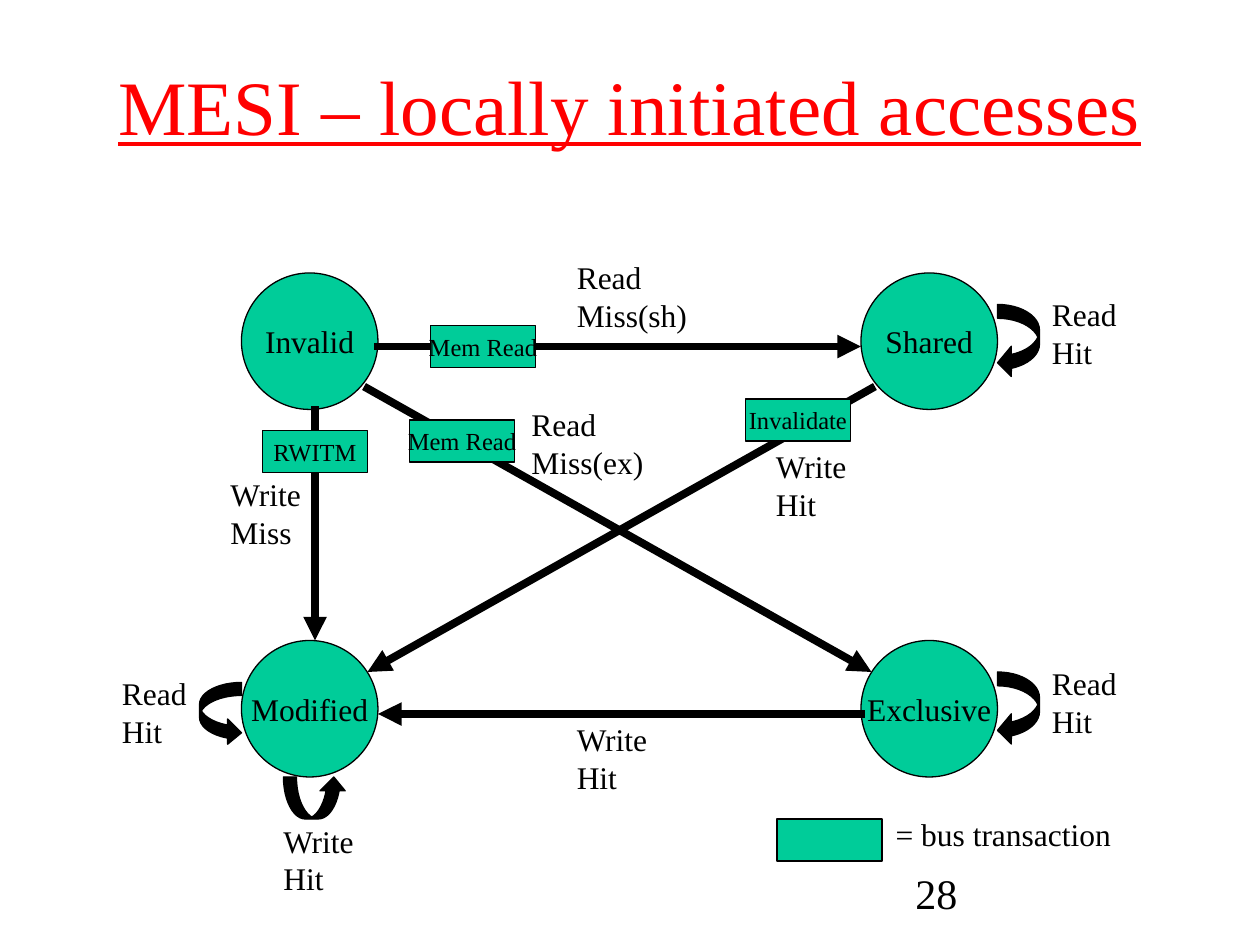
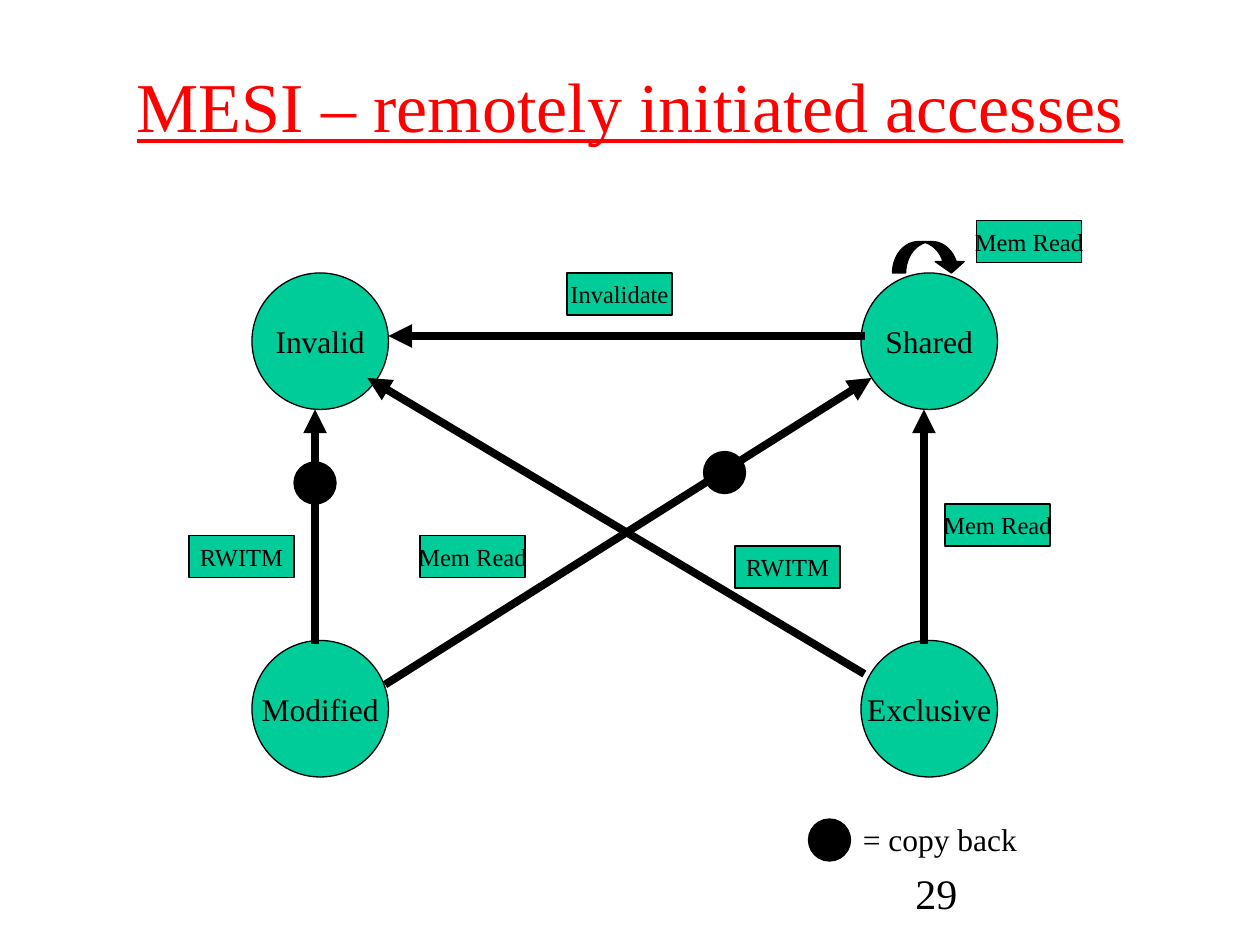
import pptx
import pptx.util
import pptx.dml.color
import pptx.enum.shapes
import pptx.enum.text
import pptx.oxml.ns
from lxml import etree

Pt = pptx.util.Pt
KIND = pptx.enum.shapes.MSO_SHAPE
ALIGN = pptx.enum.text.PP_ALIGN
ANCHOR = pptx.enum.text.MSO_ANCHOR
FIT = pptx.enum.text.MSO_AUTO_SIZE

BLACK, GREEN, RED = "000000", "00CC99", "FF0000"
FACE = "Times New Roman"
TITLE_BOX = (54, 15, 612, 90)
PAGE_BOX = (516, 492, 150, 36)
CHART_BOX = (60, 120, 600, 400)
STATE, TAG, DOT = (78, 78), (60, 24), (24, 24)

LOCAL = {
    "title": ("MESI – locally initiated accesses", 44),
    "page": "28",
    "left": 78,
    "arrows": [
        (156, 78, 432, 78), (120, 114, 120, 246), (432, 288, 156, 288),
        (150, 102, 438, 264), (438, 102, 150, 264),
    ],
    "loops": [
        (KIND.CURVED_LEFT_ARROW, (510, 54, 24, 42), (0.33, 0.72, 0.33)),
        (KIND.CURVED_LEFT_ARROW, (510, 264, 24, 42), (0.33, 0.72, 0.33)),
        (KIND.CURVED_RIGHT_ARROW, (54, 270, 24, 36), (0.31, 0.6, 0.33)),
        (KIND.CURVED_UP_ARROW, (102, 324, 36, 24), (0.31, 0.6, 0.33)),
    ],
    "labels": [
        ("Read\nHit", 534, 45, 60), ("Read\nHit", 534, 256, 60),
        ("Read\nHit", 2.6, 261.6, 60), ("Read\nMiss(sh)", 262.5, 24, 90),
        ("Read\nMiss(ex)", 236.6, 108, 90), ("Write\nHit", 94.8, 346, 60),
        ("Write\nHit", 262.5, 288, 60), ("Write\nHit", 376.3, 132, 60),
        ("Write\nMiss", 64.6, 148, 60), ("= bus transaction", 444.7, 342, 150),
    ],
    "tags": [
        ("RWITM", 90, 126), ("Invalidate", 366, 108), ("Mem Read", 186, 66),
        ("Mem Read", 174, 120), ("", 384, 348),
    ],
    "dots": [],
}

REMOTE = {
    "title": ("MESI – remotely initiated accesses", 40),
    "page": "29",
    "left": 84,
    "arrows": [
        (120, 246, 120, 114), (432, 72, 162, 72), (468, 246, 468, 114),
        (162, 270, 438, 96), (432, 264, 150, 96),
    ],
    "loops": [(KIND.CURVED_DOWN_ARROW, (450, 18, 42, 18), (0.42, 0.92, 0.36))],
    "labels": [("= copy back", 426, 345, 120)],
    "tags": [
        ("Mem Read", 498, 6), ("Mem Read", 480, 168), ("Mem Read", 180, 186),
        ("Invalidate", 264, 36), ("RWITM", 360, 192), ("RWITM", 48, 186),
    ],
    "dots": [(108, 144), (342, 138), (402, 348)],
}


def tint(code):
    return pptx.dml.color.RGBColor.from_string(code)


def points(box):
    return [Pt(v) for v in box]


def style(item, **values):
    for name, value in values.items():
        setattr(item, name, value)


def write(shape, text, size, color=BLACK, align=ALIGN.LEFT, line=False, **frame):
    body = shape.text_frame
    body.text = text
    style(body, **frame)
    for para in body.paragraphs:
        para.alignment = align
        style(para.font, name=FACE, size=Pt(size), underline=line)
        para.font.color.rgb = tint(color)


def draw(slide, kind, box, fill, text="", size=18):
    shape = slide.shapes.add_shape(kind, *points(box))
    shape.shadow.inherit = False
    shape.fill.solid()
    shape.fill.fore_color.rgb = tint(fill)
    shape.line.color.rgb = tint(BLACK)
    shape.line.width = Pt(0.75)
    if text:
        write(shape, text, size, align=ALIGN.CENTER, word_wrap=False,
              vertical_anchor=ANCHOR.MIDDLE)
    return shape


def arrow(slide, ends):
    link = slide.shapes.add_connector(
        pptx.enum.shapes.MSO_CONNECTOR.STRAIGHT, *points(ends))
    link.line.color.rgb = tint(BLACK)
    link.line.width = Pt(4.5)
    tag = pptx.oxml.ns.qn
    stroke = link._element.spPr.find(tag("a:ln"))
    stroke.set("cap", "sq")
    etree.SubElement(stroke, tag("a:tailEnd"), type="triangle")
    etree.SubElement(link._element.spPr, tag("a:effectLst"))


def label(slide, text, box, size=18):
    note = slide.shapes.add_textbox(*points(box))
    write(note, text, size, word_wrap=True)


def heading(slide, box, text, size):
    title = slide.shapes.title
    style(title, **dict(zip(("left", "top", "width", "height"), points(box))))
    write(title, text, size, RED, ALIGN.CENTER, True, word_wrap=True,
          auto_size=FIT.NONE, vertical_anchor=ANCHOR.MIDDLE)


def diagram(slide, box, data):
    left, top = box[:2]

    def place(x, y, size):
        return (left + x, top + y, *size)

    names = (("Invalid", "Shared"), ("Modified", "Exclusive"))
    for row, y in zip(names, (36, 246)):
        for name, x in zip(row, (data["left"], 432)):
            draw(slide, KIND.OVAL, place(x, y, STATE), GREEN, name)
    for x, y, end, low in data["arrows"]:
        arrow(slide, place(x, y, (left + end, top + low)))
    for kind, (x, y, *size), bends in data["loops"]:
        loop = draw(slide, kind, place(x, y, size), BLACK)
        for index, bend in enumerate(bends):
            loop.adjustments[index] = bend
    for text, x, y, width in data["labels"]:
        height = 50.4 if "\n" in text else 28.8
        label(slide, text, place(x, y, (width, height)))
    for text, x, y in data["tags"]:
        draw(slide, KIND.RECTANGLE, place(x, y, TAG), GREEN, text, 14)
    for x, y in data["dots"]:
        draw(slide, KIND.OVAL, place(x, y, DOT), BLACK)


def build(deck, data):
    slide = deck.slides.add_slide(deck.slide_layouts[5])
    heading(slide, TITLE_BOX, *data["title"])
    diagram(slide, CHART_BOX, data)
    label(slide, data["page"], PAGE_BOX, 24)


def main():
    deck = pptx.Presentation()
    style(deck, slide_width=Pt(720), slide_height=Pt(540))
    for data in (LOCAL, REMOTE):
        build(deck, data)
    deck.save("out.pptx")


if __name__ == "__main__":
    main()
